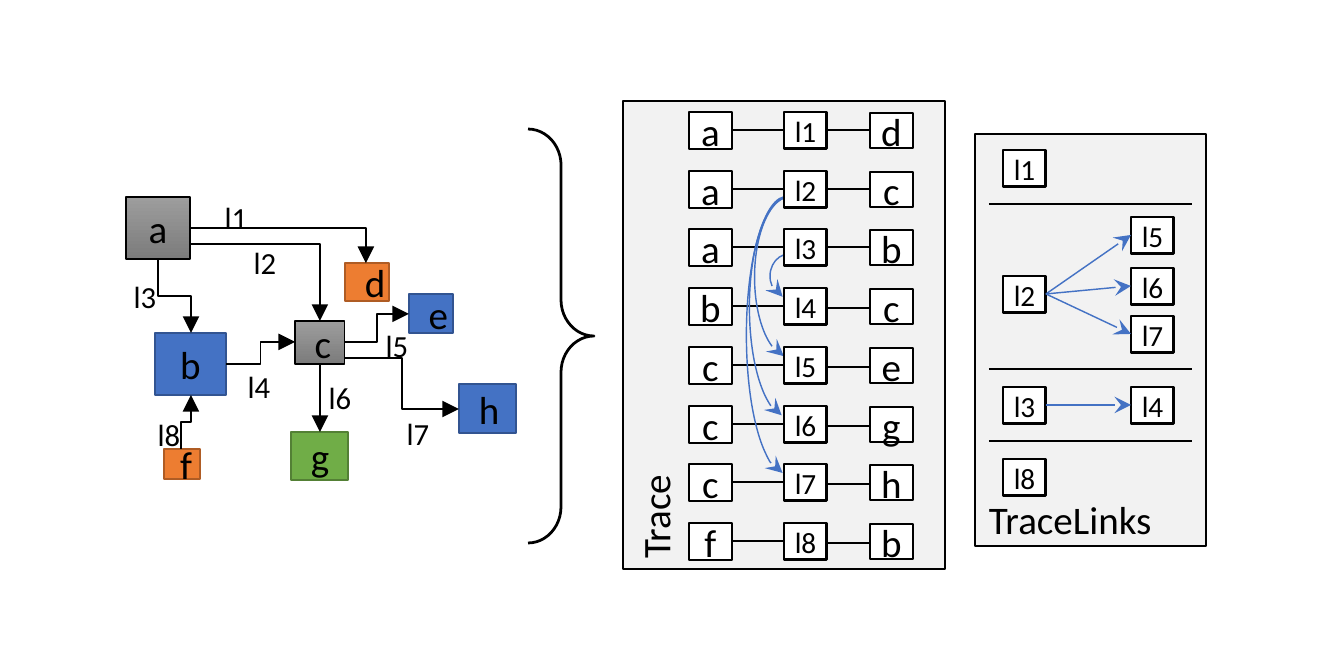
from typing import NamedTuple

from lxml import etree
from pptx import Presentation
from pptx.dml.color import RGBColor
from pptx.enum.shapes import MSO_CONNECTOR, MSO_SHAPE
from pptx.enum.text import MSO_ANCHOR, PP_ALIGN
from pptx.oxml.ns import qn
from pptx.util import Cm, Emu, Pt

RECT, ARC, BRACE = MSO_SHAPE.RECTANGLE, MSO_SHAPE.ARC, MSO_SHAPE.RIGHT_BRACE
STRAIGHT, ELBOW = MSO_CONNECTOR.STRAIGHT, MSO_CONNECTOR.ELBOW
CENTER, LEFT, MIDDLE = PP_ALIGN.CENTER, PP_ALIGN.LEFT, MSO_ANCHOR.MIDDLE

SLIDE_W, SLIDE_H = 1344, 672
SCALE = Cm(17) / SLIDE_W
BLACK, WHITE, PANEL = "000000", "FFFFFF", "F2F2F2"
BLUE, GREEN, ORANGE = "4472C4", "70AD47", "ED7D31"
GREY = ("9D9D9D", "7C7C7C")
EDGE = {BLUE: "325491", GREEN: "538035", ORANGE: "AF5C24", GREY: BLACK}
BOX_W, BOX_H = 43, 37


class Box(NamedTuple):
    """Left, top, width and height in pixels."""
    x: int
    y: int
    w: int
    h: int


class Node(NamedTuple):
    """A filled vertex of the graph."""
    text: str
    box: Box
    fill: str | tuple[str, str]


class Edge(NamedTuple):
    """A graph arrow; route is across, down, corner or straight."""
    begin: tuple[int, int]
    end: tuple[int, int]
    route: str


class Label(NamedTuple):
    """A piece of text placed by its top left corner."""
    text: str
    x: int
    y: int


class Arc(NamedTuple):
    """A curved arrow: unrotated box and the two arc adjustments."""
    box: Box
    start: float
    stop: float


class Row(NamedTuple):
    """One trace entry; drop is the height difference of its line."""
    source: str
    target: str
    drop: int


NODES = [
    Node("b", Box(155, 333, 71, 62), BLUE),
    Node("e", Box(409, 294, 44, 39), BLUE),
    Node("g", Box(291, 432, 57, 48), GREEN),
    Node("a", Box(126, 197, 64, 62), GREY),
    Node("c", Box(295, 321, 50, 43), GREY),
    Node("h", Box(459, 384, 57, 49), BLUE),
    Node("d", Box(345, 263, 44, 38), ORANGE),
    Node("f", Box(164, 449, 36, 30), ORANGE),
]
EDGES = [
    Edge((190, 228), (366, 263), "corner"),
    Edge((158, 259), (191, 333), "down"),
    Edge((190, 244), (320, 321), "corner"),
    Edge((226, 364), (295, 342), "across"),
    Edge((181, 449), (191, 395), "down"),
    Edge((320, 364), (320, 432), "straight"),
    Edge((345, 342), (409, 314), "across"),
    Edge((345, 358), (459, 409), "across"),
]
EDGE_LABELS = [
    Label("l1", 205, 189), Label("l2", 234, 234), Label("l3", 114, 268),
    Label("l4", 228, 358), Label("l6", 309, 369), Label("l5", 366, 317),
    Label("l7", 387, 405), Label("l8", 138, 406),
]
ROWS = [
    Row("a", "d", 0), Row("a", "c", 0), Row("a", "b", 0), Row("b", "c", 2),
    Row("c", "e", 2), Row("c", "g", 2), Row("c", "h", 2), Row("f", "b", 2),
]
ROW_TOPS = [112 + round(i * 411 / 7) for i in range(len(ROWS))]
ARCS = [
    Arc(Box(710, 241, 161, 72), 110.92, 2.97),
    Arc(Box(678, 269, 219, 76), 109.82, 4.34),
    Arc(Box(648, 295, 277, 80), 108.94, 215.45),
    Arc(Box(767, 257, 44, 38), 118.17, 2.97),
]
LINK_BOXES = [
    Label("l1", 1003, 150), Label("l2", 1003, 276), Label("l3", 1003, 387),
    Label("l8", 1003, 459), Label("l5", 1131, 217), Label("l6", 1131, 268),
    Label("l7", 1131, 316), Label("l4", 1131, 387),
]
LINK_ARROWS = [("l2", "l5"), ("l2", "l6"), ("l2", "l7"), ("l3", "l4")]

prs = Presentation()


def px(n: float) -> Emu:
    """Turn pixels into EMU."""
    return Emu(round(n * SCALE))


def rgb(color: str) -> RGBColor:
    """Turn a hex string into a colour."""
    return RGBColor.from_string(color)


def write(sp, text: str, *, size: float, align=CENTER) -> None:
    """Put one formatted paragraph into a shape."""
    p = sp.text_frame.paragraphs[0]
    p.alignment = align
    r = p.add_run()
    r.text = text
    r.font.size, r.font.name = Pt(size), "Calibri"
    r.font.color.rgb = rgb(BLACK)


def arrowhead(sp, end: str, kind: str) -> None:
    """Add an arrowhead (headEnd or tailEnd) to an outline."""
    etree.SubElement(sp.line._get_or_add_ln(), qn(f"a:{end}"), type=kind)


def shape(box: Box, kind=RECT, fill=None, line: str = BLACK, width: float = 0.5):
    """Draw a preset shape with a solid, two-colour or no fill."""
    sp = s.shapes.add_shape(kind, *map(px, box))
    sp.shadow.inherit = False
    if fill is None:
        sp.fill.background()
    elif isinstance(fill, tuple):
        sp.fill.gradient()
        sp.fill.gradient_angle = 270
        for stop, color in zip(sp.fill.gradient_stops, fill):
            stop.color.rgb = rgb(color)
    else:
        sp.fill.solid()
        sp.fill.fore_color.rgb = rgb(fill)
    sp.line.color.rgb, sp.line.width = rgb(line), Pt(width)
    return sp


def cell(text: str, box: Box, *, width: float = 0.5, size: float = 14) -> None:
    """Draw a white box with narrow margins and centred text."""
    sp = shape(box, fill=WHITE, width=width)
    tf = sp.text_frame
    tf.vertical_anchor = MIDDLE
    tf.margin_left = tf.margin_right = tf.margin_top = tf.margin_bottom = px(8)
    write(sp, text, size=size)


def link_cell(text: str, x: int, y: int) -> None:
    """Draw the heavier box that stands for a link."""
    cell(text, Box(x, y, BOX_W, BOX_H), width=1, size=10.5)


def label(text: str, box: Box, *, size: float, rotation: int = 0) -> None:
    """Draw an unwrapped text box."""
    sp = s.shapes.add_textbox(*map(px, box))
    sp.text_frame.word_wrap = False
    sp.rotation = rotation
    write(sp, text, size=size, align=LEFT)


def connect(begin, end, *, route: str = "straight", color: str = BLACK, tail: str = "") -> None:
    """Draw a connector; a downward one is an elbow turned by 90 degrees."""
    (x1, y1), (x2, y2) = begin, end
    if route == "down":
        cx, cy, dx, dy = (x1 + x2) / 2, (y1 + y2) / 2, (x2 - x1) / 2, (y2 - y1) / 2
        x1, y1, x2, y2 = cx - dy, cy + dx, cx + dy, cy - dx
    kind = STRAIGHT if route == "straight" else ELBOW
    c = s.shapes.add_connector(kind, px(x1), px(y1), px(x2), px(y2))
    pr = c._element.spPr
    if route == "down":
        pr.find(qn("a:xfrm")).set("rot", str(90 * 60000))
    elif route == "corner":
        pr.find(qn("a:prstGeom")).set("prst", "bentConnector2")
    c.line.color.rgb, c.line.width = rgb(color), Pt(0.5)
    if tail:
        arrowhead(c, "tailEnd", tail)
    etree.SubElement(pr, qn("a:effectLst"))


def draw_graph() -> None:
    """Draw the vertices, arrows and arrow labels on the left."""
    for node in NODES:
        sp = shape(node.box, fill=node.fill, line=EDGE[node.fill])
        sp.text_frame.vertical_anchor = MIDDLE
        write(sp, node.text, size=14)
    for edge in EDGES:
        connect(edge.begin, edge.end, route=edge.route, tail="triangle")
    for text, x, y in EDGE_LABELS:
        label(text, Box(x, y, 64, 58), size=11)
    brace = shape(Box(528, 129, 66, 414), BRACE, width=1)
    brace.adjustments[0], brace.adjustments[1] = 0.55, 0.5


def draw_trace() -> None:
    """Draw the panel with one row per link and its curved arrows."""
    shape(Box(623, 101, 322, 468), fill=PANEL)
    for row, top in zip(ROWS, ROW_TOPS):
        connect((732, top + 18), (870, top + 18 + row.drop),
                route="across" if row.drop else "straight")
    for arc in ARCS:
        sp = shape(arc.box, ARC, line=BLUE)
        sp.rotation = 270
        sp.adjustments[0], sp.adjustments[1] = arc.start, arc.stop
        arrowhead(sp, "headEnd", "stealth")
    for i, (row, top) in enumerate(zip(ROWS, ROW_TOPS), 1):
        cell(row.source, Box(689, top, BOX_W, BOX_H))
        link_cell(f"l{i}", 784, top)
        cell(row.target, Box(870, top + 1, BOX_W, BOX_H - 2))
    label("Trace", Box(592, 481, 127, 68), size=14, rotation=270)


def draw_trace_links() -> None:
    """Draw the panel that groups dependent links."""
    shape(Box(975, 134, 231, 412), fill=PANEL)
    spots = {text: (x, y + 18) for text, x, y in LINK_BOXES}
    for item in LINK_BOXES:
        link_cell(*item)
    for source, target in LINK_ARROWS:
        x, y = spots[source]
        connect((x + BOX_W, y), spots[target], color=BLUE, tail="stealth")
    for y in (204, 369, 441):
        connect((989, y), (1192, y))
    label("TraceLinks", Box(969, 486, 205, 68), size=14)


prs.slide_width, prs.slide_height = px(SLIDE_W), px(SLIDE_H)
s = prs.slides.add_slide(prs.slide_layouts[6])
draw_trace_links()
draw_trace()
draw_graph()
prs.save("out.pptx")
